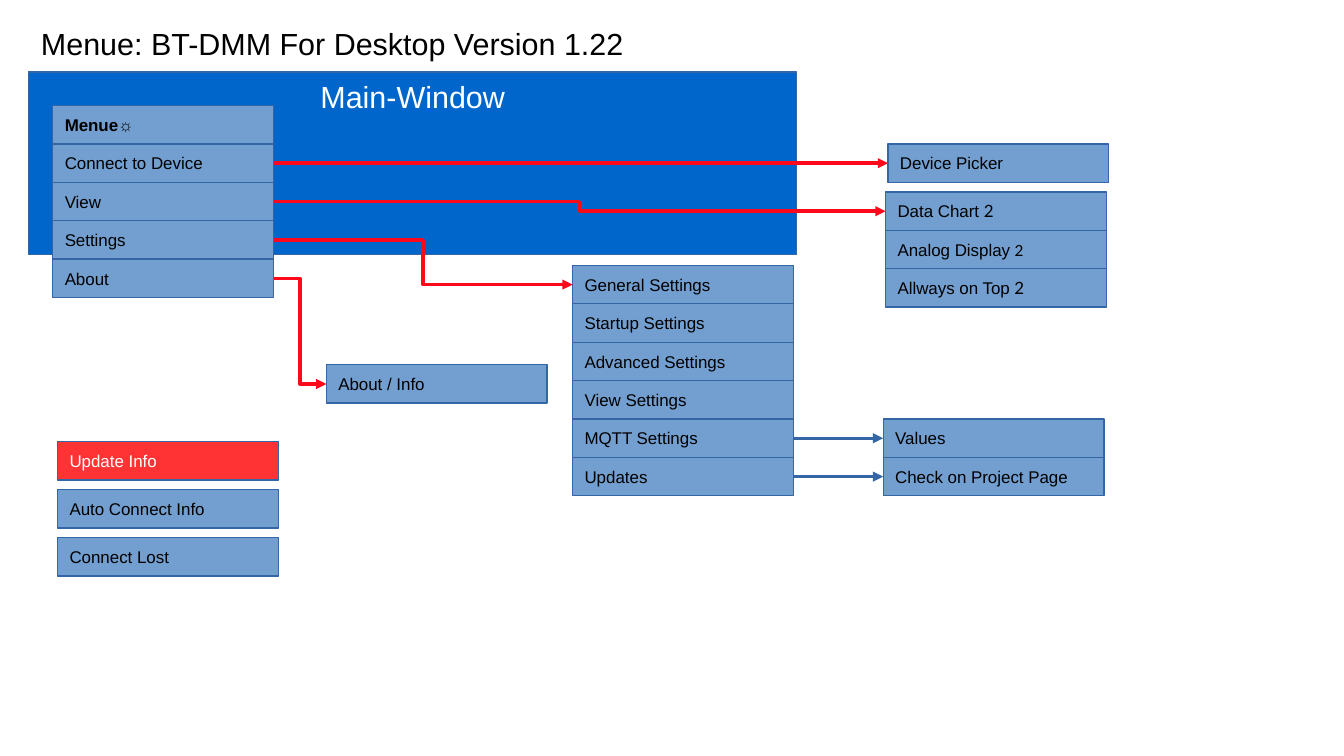
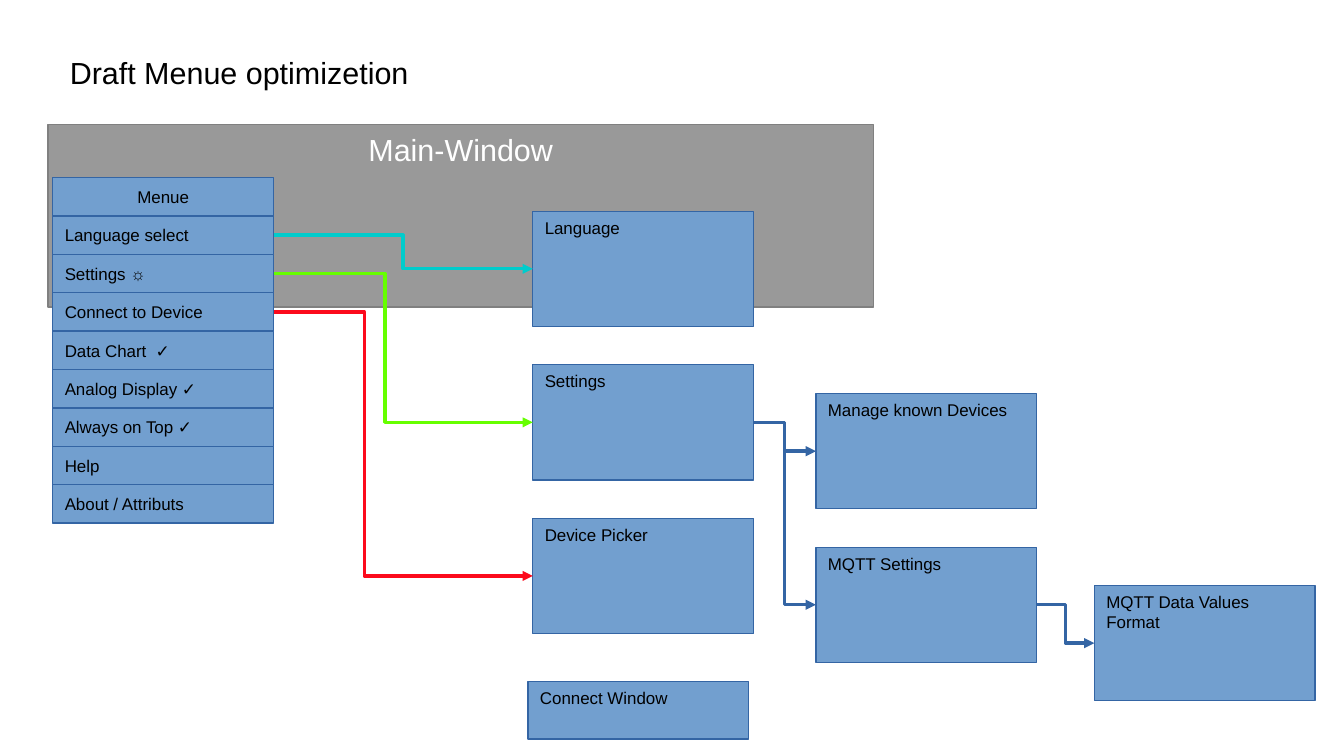
from dataclasses import dataclass
from lxml.etree import SubElement
from pptx import Presentation
from pptx.dml.color import RGBColor
from pptx.enum.shapes import MSO_CONNECTOR, MSO_SHAPE
from pptx.enum.text import MSO_ANCHOR, MSO_AUTO_SIZE, PP_ALIGN
from pptx.oxml.ns import qn
from pptx.util import Cm, Pt


@dataclass(frozen=True)
class Theme:
    font: str = "Arial"
    mark: str = "Lato"
    head: int = 18
    body: int = 10
    small: int = 9
    ink: str = "000000"
    pale: str = "FFFFFF"
    box: str = "729FCF"
    edge: str = "3465A4"
    blue: str = "0066CC"
    gray: str = "999999"
    rim: str = "808080"
    alert: str = "FF3333"
    red: str = "FC0A1C"
    cyan: str = "00CCCC"
    green: str = "66FF00"


T = Theme()
WIDE = 4.6
ROW = 0.8
CARD = 2.4
STEP = 3.2


def style(run, size, font, color, bold):
    run.font.size = Pt(size)
    run.font.name = font
    run.font.bold = bold
    run.font.color.rgb = RGBColor.from_string(color)


def write(frame, text, size=T.body, color=T.ink, bold=False,
          align=PP_ALIGN.LEFT, anchor=MSO_ANCHOR.TOP, mark="", tiny=T.body):
    frame.word_wrap = True
    frame.vertical_anchor = anchor
    para = frame.paragraphs[0]
    para.alignment = align
    run = para.add_run()
    run.text = text
    style(run, size, T.font, color, bold)
    if mark:
        run = para.add_run()
        run.text = mark
        style(run, tiny, T.mark, color, bold)


def block(slide, box, text, fill=T.box, edge=T.edge, **form):
    shape = slide.shapes.add_shape(MSO_SHAPE.RECTANGLE, *map(Cm, box))
    shape.shadow.inherit = False
    shape.fill.solid()
    shape.fill.fore_color.rgb = RGBColor.from_string(fill)
    shape.line.color.rgb = RGBColor.from_string(edge)
    shape.line.width = Pt(0)
    write(shape.text_frame, text, **form)
    return shape


def stack(slide, left, top, rows, step=ROW):
    cells = []
    for i, row in enumerate(rows):
        text, form = (row, {}) if isinstance(row, str) else row
        box = (left, top + i * step, WIDE, ROW)
        cells.append(block(slide, box, text, anchor=MSO_ANCHOR.MIDDLE, **form))
    return cells


def cards(slide, left, top, names):
    return [block(slide, (left, top + i * STEP, WIDE, CARD), name)
            for i, name in enumerate(names)]


def window(slide, box, fill, edge):
    block(slide, box, "Main-Window", fill, edge, size=T.head,
          color=T.pale, align=PP_ALIGN.CENTER)


def link(slide, start, end, color=T.edge, bend=None):
    kind = MSO_CONNECTOR.ELBOW if bend else MSO_CONNECTOR.STRAIGHT
    line = slide.shapes.add_connector(kind, 0, 0, 0, 0)
    line.begin_connect(start, 3)
    line.end_connect(end, 1)
    line.line.color.rgb = RGBColor.from_string(color)
    line.line.width = Pt(0)
    props = line._element.spPr
    SubElement(props.find(qn("a:ln")), qn("a:tailEnd"), type="triangle")
    SubElement(props, qn("a:effectLst"))
    if bend:
        guides = props.find(qn("a:prstGeom")).find(qn("a:avLst"))
        SubElement(guides, qn("a:gd"), name="adj1",
                   fmla=f"val {round(bend * 100000)}")


def start(deck, text, box):
    slide = deck.slides.add_slide(deck.slide_layouts[5])
    title = slide.shapes.title
    title.left, title.top, title.width, title.height = map(Cm, box)
    write(title.text_frame, text, size=T.head)
    title.text_frame.auto_size = MSO_AUTO_SIZE.NONE
    return slide


def current(deck):
    slide = start(deck, "Menue: BT-DMM For Desktop Version 1.22",
                  (0.6, 0.4, 14, 1))
    window(slide, (0.6, 1.5, 16, 3.8), T.blue, T.edge)
    menu = stack(slide, 1.1, 2.2, [
        ("Menue☼", {"bold": True}), "Connect to Device", "View",
        "Settings", "About"])
    picker, = stack(slide, 18.5, 3, ["Device Picker"])
    views = stack(slide, 18.45, 4, [
        ("Data Chart ", {"mark": "2"}),
        ("Analog Display ", {"mark": "2", "tiny": T.small}),
        ("Allways on Top ", {"mark": "2"})])
    setup = stack(slide, 11.93, 5.53, [
        "General Settings", "Startup Settings", "Advanced Settings",
        "View Settings", "MQTT Settings", "Updates"])
    pages = stack(slide, 18.4, 8.73, ["Values", "Check on Project Page"])
    about, = stack(slide, 6.8, 7.6, ["About / Info"])
    stack(slide, 1.2, 9.2, [
        ("Update Info", {"fill": T.alert, "color": T.pale}),
        "Auto Connect Info", "Connect Lost"], step=1)
    link(slide, menu[1], picker, T.red)
    for cell, goal in zip(menu[2:], (views[0], setup[0], about)):
        link(slide, cell, goal, T.red, 0.5)
    for cell, goal in zip(setup[4:], pages):
        link(slide, cell, goal)


def draft(deck):
    slide = start(deck, "Draft Menue optimizetion", (1.2, 1, 14, 1))
    window(slide, (1, 2.6, 17.2, 3.8), T.gray, T.rim)
    menu = stack(slide, 1.1, 3.7, [
        ("Menue", {"align": PP_ALIGN.CENTER}), "Language select",
        "Settings ☼", "Connect to Device", "Data Chart  ✓",
        "Analog Display ✓", "Always on Top ✓", "Help", "About / Attributs"])
    panes = cards(slide, 11.1, 4.4, ["Language", "Settings", "Device Picker"])
    parts = cards(slide, 17, 8.2, ["Manage known Devices", "MQTT Settings"])
    values, = cards(slide, 22.8, 12.2, ["MQTT Data Values Format"])
    block(slide, (11, 14.2, WIDE, CARD / 2), "Connect Window")
    routes = zip(menu[1:], panes, (T.cyan, T.green, T.red), (0.5, 0.43, 0.35))
    for cell, pane, color, bend in routes:
        link(slide, cell, pane, color, bend)
    for part in parts:
        link(slide, panes[1], part, bend=0.5)
    link(slide, parts[1], values, bend=0.5)


def main():
    deck = Presentation()
    deck.slide_width, deck.slide_height = Cm(28), Cm(15.75)
    current(deck)
    draft(deck)
    deck.save("out.pptx")


if __name__ == "__main__":
    main()
